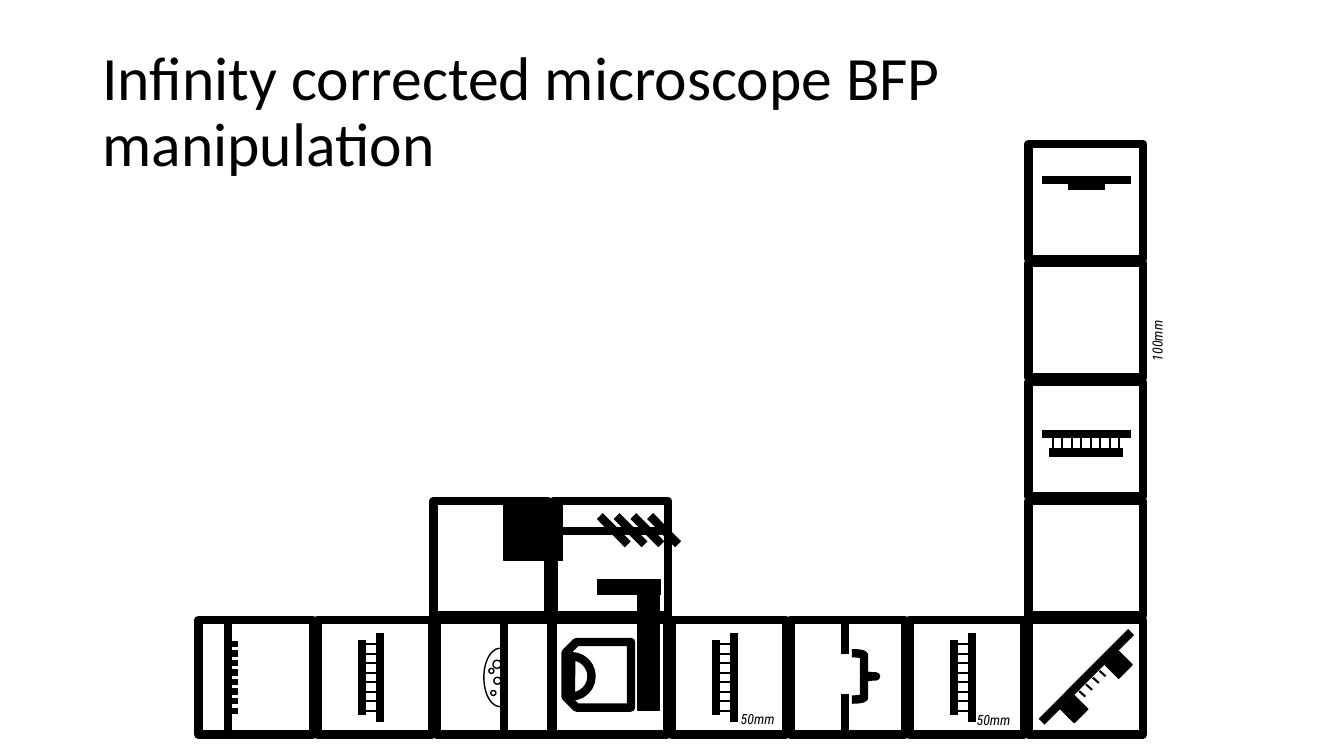
from lxml import etree
from pptx import Presentation
from pptx import util as u
from pptx.dml.color import RGBColor
from pptx.enum import shapes, text
from pptx.oxml import ns

COLORS = {"ink": "000000"}
INK = RGBColor.from_string(COLORS["ink"])
SHAPE = shapes.MSO_SHAPE
CUBE = 82
PITCH = 85
ROW_TOP = 442.8
THICK, TICK, THIN = 6, 1.5, 1
TICKS = [17.3 + 6.79 * i for i in range(8)]


def line(s, x1, y1, x2, y2, width=THICK):
    c = s.shapes.add_connector(shapes.MSO_CONNECTOR.STRAIGHT,
                               u.Pt(x1), u.Pt(y1), u.Pt(x2), u.Pt(y2))
    c.line.color.rgb = INK
    c.line.width = u.Pt(width)
    etree.SubElement(c.element.spPr, ns.qn("a:effectLst"))


def shape(s, kind, x, y, w, h, width=THICK, solid=False, rotation=0, adj=()):
    sp = s.shapes.add_shape(kind, u.Pt(x), u.Pt(y), u.Pt(w), u.Pt(h))
    sp.shadow.inherit = False
    sp.rotation = rotation
    for i, value in enumerate(adj):
        sp.adjustments[i] = value
    if solid:
        sp.fill.solid()
        sp.fill.fore_color.rgb = INK
    else:
        sp.fill.background()
    sp.line.color.rgb = INK
    sp.line.width = u.Pt(width)


def block(s, x, y, w, h, rotation=0):
    shape(s, SHAPE.RECTANGLE, x, y, w, h, THIN, True, rotation)


def cube(s, x, y):
    shape(s, SHAPE.RECTANGLE, x, y, CUBE, CUBE)


def lens(s, x, y, long, short, upright=True):
    edge = long + (1.5 if short > long else -1.5)
    parts = [(long, 9.4, long, 73, THICK), (short, 14.6, short, 67.9, THICK)]
    parts += [(edge, t, short, t, TICK) for t in TICKS]
    for a1, b1, a2, b2, width in parts:
        if upright:
            line(s, x + a1, y + b1, x + a2, y + b2, width)
        else:
            line(s, x + b1, y + a1, x + b2, y + a2, width)


def light_modulator(s, x, y):
    line(s, x + 20.9, y, x + 20.9, y + CUBE)
    for t in TICKS:
        line(s, x + 22.3, y + t, x + 28.1, y + t, 4.5)


def sample(s, x, y):
    line(s, x, y + 3, x, y + CUBE)
    shape(s, SHAPE.ARC, x - 14.4, y + 20.2, 23, 41.8, THIN, adj=(49.19, 162))
    for dx, dy, d in [(-7.9, 28.8, 5.8), (-10.8, 34.6, 3.6),
                      (-7.2, 41, 5), (-9.4, 50.4, 3.6)]:
        shape(s, SHAPE.OVAL, x + dx, y + dy, d, d, THIN)


def objective(s):
    block(s, 455.8, 420.5, 15.1, 87.1)
    shape(s, SHAPE.SNIP_2_SAME_RECTANGLE, 403.9, 458.6, 46.8, 46.8, rotation=270)
    shape(s, SHAPE.CHORD, 393.8, 468.7, 28.8, 28.8, adj=(162, 55.14))


def focus_drive(s):
    block(s, 360, 358.6, 41.8, 41.8)
    block(s, 426.6, 414.4, 45.4, 10.1)
    line(s, 390.2, 379.4, 475.2, 379.4)
    for i in range(4):
        x = 428.4 + 12 * i
        line(s, x, 368.6, x + 20, 388.8)


def pupil_stop(s, x, y):
    line(s, x + 38.9, y + 52.6, x + 38.9, y + CUBE)
    line(s, x + 38.9, y - 2.2, x + 38.9, y + 24.5)
    shape(s, SHAPE.RIGHT_BRACE, x + 43.9, y + 23.8, 17.3, 33.1)


def mirror(s, x, y):
    line(s, x + 73.4, y + 8.6, x + 9.4, y + 72.7)
    for i in range(8):
        d = 4.83 * i
        line(s, x + 26.6 + d, y + 60.5 - d, x + 31 + d, y + 64.4 - d, TICK)
    for dx, dy in [(57.6, 25.2), (25.9, 56.9)]:
        block(s, x + dx, y + dy, 13.7, 13.7, 315)


def camera(s, x, y):
    line(s, x + 9.4, y + 25.9, x + 73.4, y + 25.9)
    line(s, x + 28.1, y + 30.2, x + 54.7, y + 30.2)


def label(s, words, x, y, w, rotation=0):
    sp = s.shapes.add_textbox(u.Pt(x), u.Pt(y), u.Pt(w), u.Pt(19.4))
    sp.rotation = rotation
    tf = sp.text_frame
    tf.word_wrap = False
    tf.auto_size = text.MSO_AUTO_SIZE.SHAPE_TO_FIT_TEXT
    p = tf.paragraphs[0]
    p.text = words
    p.font.name = "Roboto Condensed"
    p.font.size = u.Pt(10)
    p.font.italic = True
    p.font.color.rgb = INK


def title(s, words):
    sp = s.shapes.title
    sp.left, sp.top, sp.width, sp.height = map(u.Pt, (66, 28.75, 828, 104.4))
    tf = sp.text_frame
    tf.auto_size = text.MSO_AUTO_SIZE.NONE
    tf.vertical_anchor = text.MSO_ANCHOR.MIDDLE
    p = tf.paragraphs[0]
    p.text = words
    p.alignment = text.PP_ALIGN.LEFT
    p.line_spacing = 0.9
    p.font.name = "Calibri"
    p.font.size = u.Pt(44)
    p.font.color.rgb = INK


def main():
    prs = Presentation()
    prs.slide_width, prs.slide_height = u.Pt(960), u.Pt(540)
    s = prs.slides.add_slide(prs.slide_layouts[5])
    title(s, "Infinity corrected microscope BFP manipulation")

    row = [141.8 + PITCH * i for i in range(3)] + [394.6 + PITCH * i for i in range(5)]
    tower = [ROW_TOP - PITCH * i for i in range(5)]
    for x in row:
        cube(s, x, ROW_TOP)
    for y in tower[1:]:
        cube(s, row[7], y)
    for x in (309.6, 395.3):
        cube(s, x, tower[1])

    light_modulator(s, row[0], ROW_TOP)
    for i in (1, 4, 6):
        lens(s, row[i], ROW_TOP, 44.6, 31.7)
    sample(s, 360, ROW_TOP)
    objective(s)
    focus_drive(s)
    pupil_stop(s, row[5], ROW_TOP)
    mirror(s, row[7], ROW_TOP)
    lens(s, row[7], tower[2], 37.4, 50.4, upright=False)
    camera(s, row[7], tower[4])

    label(s, "50mm", 522, 504, 39.6)
    label(s, "50mm", 690.5, 504.7, 39.6)
    label(s, "100mm", 804.6, 233.3, 43.9, 270)
    prs.save("out.pptx")


if __name__ == "__main__":
    main()
